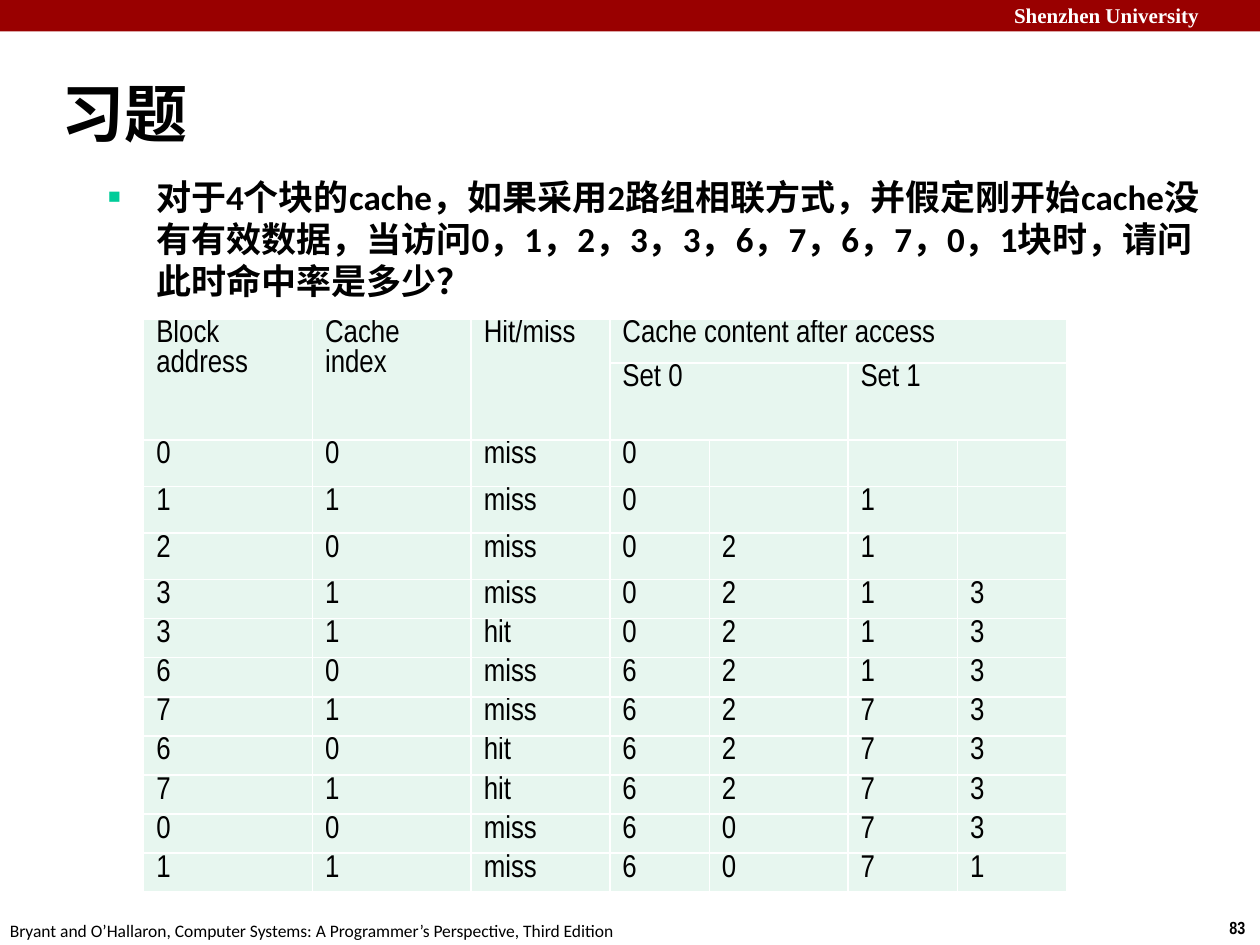
import pptx
import pptx.util
import pptx.dml.color
import pptx.enum.shapes
import pptx.enum.text
from lxml import etree

Inches, Pt = pptx.util.Inches, pptx.util.Pt
ANCHOR, ALIGN = pptx.enum.text.MSO_ANCHOR, pptx.enum.text.PP_ALIGN
COLORS = {"red": "990000", "white": "FFFFFF", "black": "000000",
          "teal": "00CC99", "mint": "E7F6EF"}
NS = "http://schemas.openxmlformats.org/drawingml/2006/main"

BODY = ("对于4个块的cache，如果采用2路组相联方式，并假定刚开始cache没有有效数据，"
        "当访问0，1，2，3，3，6，7，6，7，0，1块时，请问此时命中率是多少？")
CREDIT = ("Bryant and O’Hallaron, Computer Systems: "
          "A Programmer’s Perspective, Third Edition")

# text, place, wrap, anchor, hanging indent, bullet, font values
TEXTS = [
    ("Shenzhen University", (7.95, -0.03, 2.12, 0.3), True, ANCHOR.TOP, 0, None,
     {"name": "Times New Roman", "size": Pt(12), "bold": True, "color": "white"}),
    ("83", (9.66, 7.23, 0.34, 0.27), False, ANCHOR.TOP, 0, None,
     {"name": "Arial Narrow", "size": Pt(10), "bold": True, "color": "black"}),
    (CREDIT, (-0.02, 7.25, 5.09, 0.27), False, ANCHOR.TOP, 0, None,
     {"name": "Calibri", "size": Pt(10), "bold": False, "color": "black"}),
    (BODY, (0.76, 1.34, 9.05, 5.59), True, ANCHOR.TOP, 0.38, "■",
     {"name": "Calibri", "size": Pt(20), "bold": True, "color": "black"}),
    ("习题", (0.39, 0.48, 8.3, 0.83), True, ANCHOR.MIDDLE, 0.13, None,
     {"name": "Calibri", "size": Pt(36), "bold": True, "color": "black"}),
]

ROWS = [
    ["Block address", "Cache index", "Hit/miss", "Cache content after access", "", "", ""],
    ["", "", "", "Set 0", "", "Set 1", ""],
    ["0", "0", "miss", "0", "", "", ""],
    ["1", "1", "miss", "0", "", "1", ""],
    ["2", "0", "miss", "0", "2", "1", ""],
    ["3", "1", "miss", "0", "2", "1", "3"],
    ["3", "1", "hit", "0", "2", "1", "3"],
    ["6", "0", "miss", "6", "2", "1", "3"],
    ["7", "1", "miss", "6", "2", "7", "3"],
    ["6", "0", "hit", "6", "2", "7", "3"],
    ["7", "1", "hit", "6", "2", "7", "3"],
    ["0", "0", "miss", "6", "0", "7", "3"],
    ["1", "1", "miss", "6", "0", "7", "1"],
]
WIDTHS = [1.34, 1.26, 1.1, 0.79, 1.1, 0.87, 0.87]
HEIGHTS = [0.35, 0.48] + [0.37] * 3 + [0.25] * 8
MERGES = [((0, 0), (1, 0)), ((0, 1), (1, 1)), ((0, 2), (1, 2)),
          ((0, 3), (0, 6)), ((1, 3), (1, 4)), ((1, 5), (1, 6))]
CELL = {"margin_left": Inches(0.1), "margin_right": Inches(0.1),
        "margin_top": Inches(0.01), "margin_bottom": 0}
CELL_FONT = {"name": "Arial Narrow", "size": Pt(18), "bold": False, "color": "black"}


def rgb(name):
    return pptx.dml.color.RGBColor.from_string(COLORS[name])


def paint(shape, name):
    shape.fill.solid()
    shape.fill.fore_color.rgb = rgb(name)


def style(font, values):
    for key, value in values.items():
        if key == "color":
            font.color.rgb = rgb(value)
        else:
            setattr(font, key, value)


def add(parent, tag, **attrs):
    return etree.SubElement(parent, f"{{{NS}}}{tag}", attrs)


def indent(para, hang, mark):
    """Hang the first line and put an optional square bullet before it."""
    props = para._p.get_or_add_pPr()
    props.set("marL", str(Inches(hang)))
    props.set("indent", str(-Inches(hang)))
    if mark:
        add(add(props, "buClr"), "srgbClr", val=COLORS["teal"])
        add(props, "buSzPct", val="60000")
        add(props, "buFont", typeface="Arial")
        add(props, "buChar", char=mark)


def edge(cell):
    """Draw thin white lines on all four sides of a cell."""
    props = cell._tc.get_or_add_tcPr()
    for spot, side in enumerate(("lnL", "lnR", "lnT", "lnB")):
        line = etree.Element(f"{{{NS}}}{side}", w=str(Pt(1)))
        add(add(line, "solidFill"), "srgbClr", val=COLORS["white"])
        props.insert(spot, line)


def write(slide, text, place, wrap, anchor, hang, mark, font):
    box = slide.shapes.add_textbox(*map(Inches, place))
    frame = box.text_frame
    frame.word_wrap, frame.vertical_anchor = wrap, anchor
    para = frame.paragraphs[0]
    if hang:
        indent(para, hang, mark)
    run = para.add_run()
    run.text = text
    style(run.font, font)


def tabulate(slide):
    place = map(Inches, (1.14, 2.53, sum(WIDTHS), sum(HEIGHTS)))
    table = slide.shapes.add_table(len(ROWS), len(WIDTHS), *place).table
    table.first_row = table.horz_banding = False
    for col, width in zip(table.columns, WIDTHS):
        col.width = Inches(width)
    for r, row in enumerate(ROWS):
        table.rows[r].height = Inches(HEIGHTS[r])
        for c, text in enumerate(row):
            cell = table.cell(r, c)
            for key, value in CELL.items():
                setattr(cell, key, value)
            paint(cell, "mint")
            edge(cell)
            if text:
                para = cell.text_frame.paragraphs[0]
                para.alignment = ALIGN.JUSTIFY
                run = para.add_run()
                run.text = text
                style(run.font, CELL_FONT)
    for start, end in MERGES:
        table.cell(*start).merge(table.cell(*end))


def main():
    deck = pptx.Presentation()
    deck.slide_width, deck.slide_height = Inches(10), Inches(7.5)
    slide = deck.slides.add_slide(deck.slide_layouts[6])
    band = slide.shapes.add_shape(pptx.enum.shapes.MSO_SHAPE.RECTANGLE,
                                  0, 0, deck.slide_width, Inches(0.25))
    band.shadow.inherit = False
    paint(band, "red")
    band.line.fill.background()
    for item in TEXTS:
        write(slide, *item)
    tabulate(slide)
    deck.save("out.pptx")


if __name__ == "__main__":
    main()
